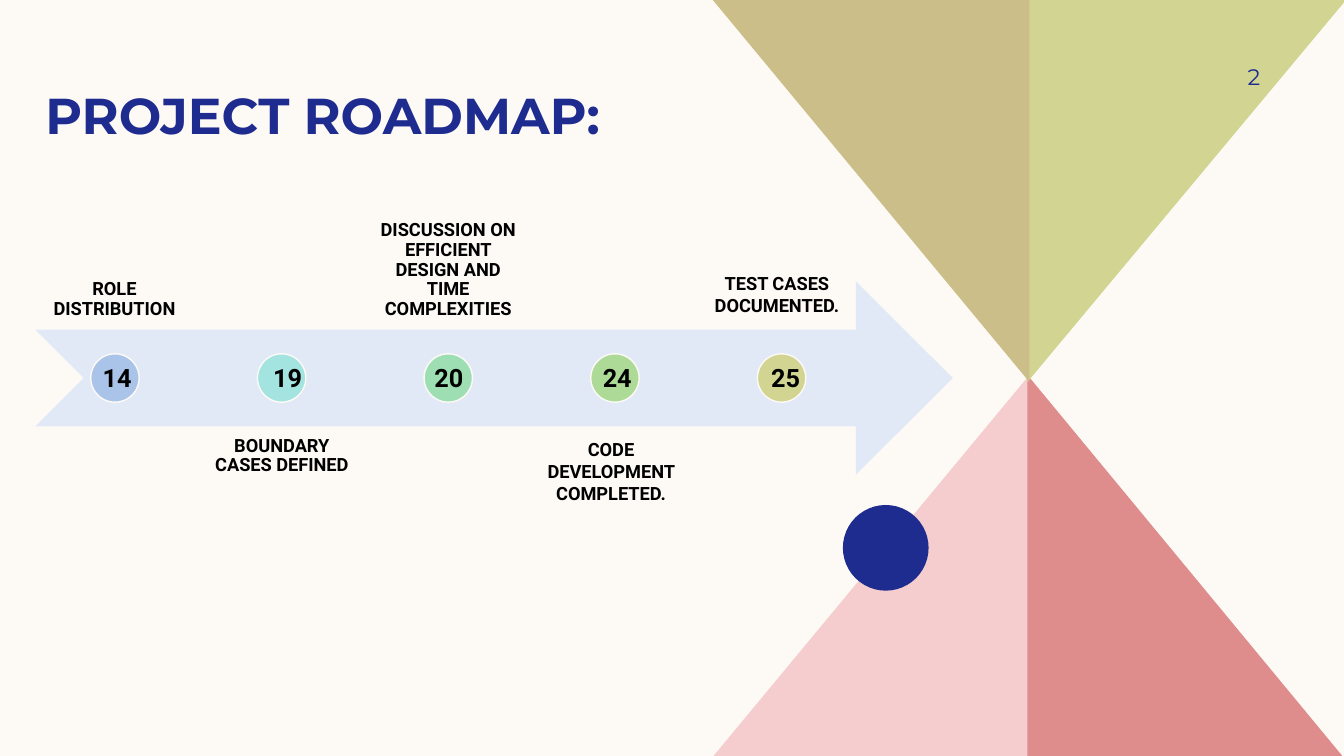
from pptx import Presentation
from pptx.dml.color import RGBColor
from pptx.enum.shapes import MSO_SHAPE
from pptx.enum.text import MSO_ANCHOR, MSO_AUTO_SIZE, PP_ALIGN
from pptx.util import Inches, Pt

OVAL, ARROW = MSO_SHAPE.OVAL, MSO_SHAPE.NOTCHED_RIGHT_ARROW
TOP, MIDDLE, BOTTOM = MSO_ANCHOR.TOP, MSO_ANCHOR.MIDDLE, MSO_ANCHOR.BOTTOM
LEFT, CENTER, RIGHT = PP_ALIGN.LEFT, PP_ALIGN.CENTER, PP_ALIGN.RIGHT

COLORS = {
    "cream": "FDFAF6", "navy": "1F2C8F", "black": "000000", "pale": "E2E9F6",
    "pink": "F5CDCE", "rose": "DE8C8C", "lime": "D2D592", "sand": "CCBE89",
    "blue": "AAC3E8", "aqua": "A3E4E1", "mint": "9DDFB2", "green": "ADDA97",
}


def paint(shape, color, edge=None):
    shape.shadow.inherit = False
    shape.fill.solid()
    shape.fill.fore_color.rgb = RGBColor.from_string(COLORS[color])
    if edge:
        shape.line.color.rgb = RGBColor.from_string(COLORS[edge])
        shape.line.width = Pt(1)
    else:
        shape.line.fill.background()


def write(shape, text, size, font, color, bold=True, align=LEFT,
          anchor=TOP, pads=(0.1, 0.05, 0.1, 0.05), space=1.0):
    frame = shape.text_frame
    frame.word_wrap = True
    frame.auto_size = MSO_AUTO_SIZE.NONE
    frame.vertical_anchor = anchor
    frame.margin_left, frame.margin_top, frame.margin_right, frame.margin_bottom = map(Inches, pads)
    para = frame.paragraphs[0]
    para.alignment = align
    para.line_spacing = space
    run = para.add_run()
    run.text = text
    run.font.name = font
    run.font.size = Pt(size)
    run.font.bold = bold
    run.font.color.rgb = RGBColor.from_string(COLORS[color])


deck = Presentation()
deck.slide_width, deck.slide_height = Inches(13.33), Inches(7.5)
slide = deck.slides.add_slide(deck.slide_layouts[5])
slide.background.fill.solid()
slide.background.fill.fore_color.rgb = RGBColor.from_string(COLORS["cream"])
shapes = slide.shapes

for color, tip, side, peak, base in [
    ("pink", 10.21, 7.06, 3.72, 7.52),
    ("rose", 10.19, 13.33, 3.72, 7.52),
    ("lime", 10.19, 13.35, 3.79, 0),
    ("sand", 10.21, 7.07, 3.79, 0),
]:
    pen = shapes.build_freeform(Inches(tip), Inches(peak))
    pen.add_line_segments([(Inches(side), Inches(base)), (Inches(tip), Inches(base))])
    paint(pen.convert_to_shape(), color)

dot = shapes.add_shape(OVAL, Inches(8.36), Inches(5.01), Inches(0.85), Inches(0.85))
paint(dot, "navy")

title = shapes.title
title.left, title.top, title.width, title.height = map(Inches, (0.35, -0.24, 7.2, 1.67))
write(title, "PROJECT ROADMAP:", 36, "Montserrat", "navy", anchor=BOTTOM, pads=(0.1, 0, 0.1, 0))

page = shapes.add_textbox(Inches(11.33), Inches(0.5), Inches(1.17), Inches(0.52))
write(page, "2", 16, "Montserrat", "navy", bold=False, align=RIGHT, anchor=MIDDLE,
      pads=(0.1, 0.05, 0, 0.05))

arrow = shapes.add_shape(ARROW, Inches(0.35), Inches(2.79), Inches(9.1), Inches(1.92))
paint(arrow, "pale")

even = (0.1, 0.1, 0.1, 0.1)
slim = (0.1, 0.05, 0.1, 0.05)
steps = [
    ("14", 0.92, "blue", "ROLE DISTRIBUTION", (0.35, 1.35, 1.57, 1.92), BOTTOM, even, 0.9),
    ("19", 2.61, "aqua", "BOUNDARY CASES DEFINED", (2.01, 4.23, 1.57, 1.92), TOP, even, 0.9),
    ("20", 4.21, "mint", "DISCUSSION ON EFFICIENT DESIGN AND TIME COMPLEXITIES",
     (3.66, 1.35, 1.57, 1.92), BOTTOM, even, 0.9),
    ("24", 5.88, "green", "CODE DEVELOPMENT COMPLETED.", (5.24, 4.3, 1.64, 0.76), TOP, slim, 1.0),
    ("25", 7.55, "lime", "TEST CASES DOCUMENTED.", (6.67, 2.65, 2.07, 0.54), TOP, slim, 1.0),
]
for i, (day, left, color, text, box, anchor, pads, space) in enumerate(steps):
    mark = shapes.add_shape(OVAL, Inches(0.9 + 1.653 * i), Inches(3.51), Inches(0.48), Inches(0.48))
    paint(mark, color, "cream")
    date = shapes.add_textbox(Inches(left), Inches(3.55), Inches(0.75), Inches(0.4))
    write(date, day, 18, "Roboto", "black")
    label = shapes.add_textbox(*map(Inches, box))
    write(label, text, 13, "Roboto", "black", align=CENTER, anchor=anchor, pads=pads, space=space)

deck.save("out.pptx")
